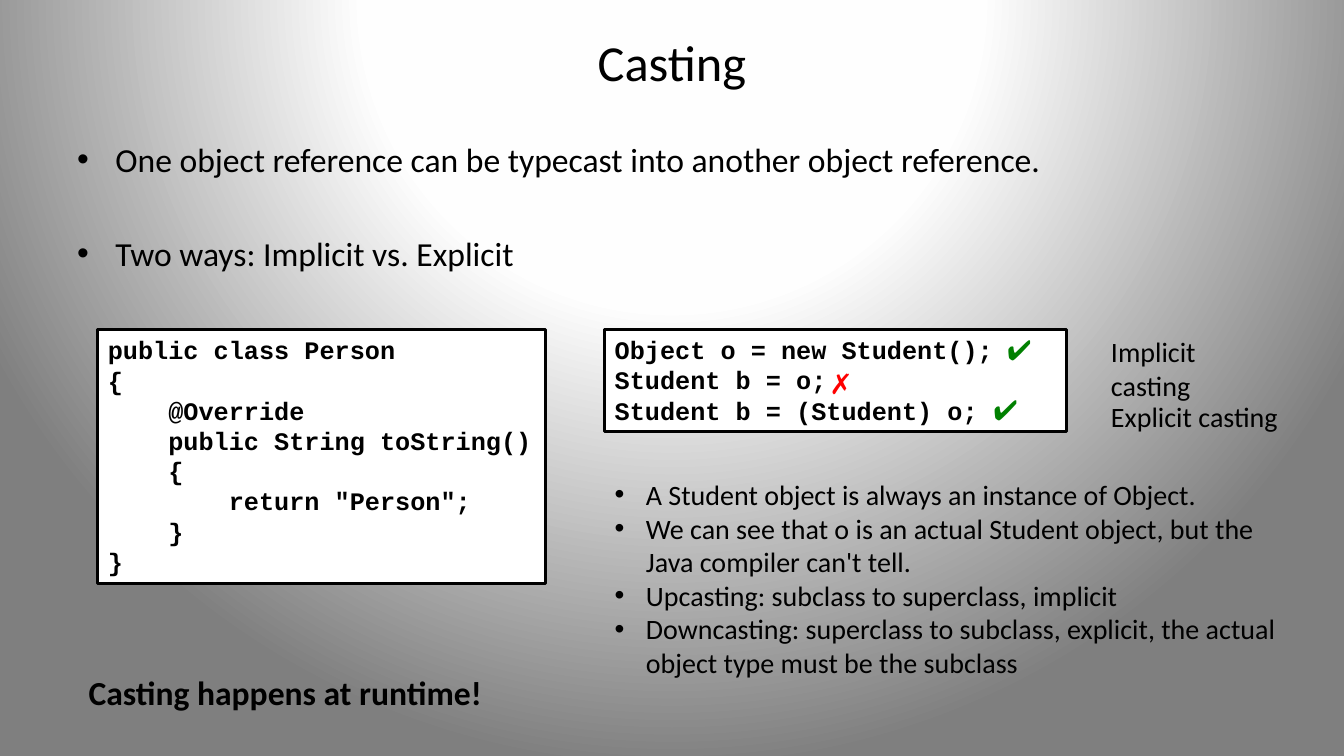
from pptx import Presentation
from pptx.dml.color import RGBColor as Rgb
from pptx.enum.shapes import MSO_SHAPE as Shape
from pptx.enum.text import MSO_ANCHOR as Anchor, PP_ALIGN as Align
from pptx.oxml import parse_xml
from pptx.oxml.ns import nsdecls
from pptx.util import Inches, Pt

WIDE, HIGH = Inches(13.33), Inches(7.5)
HUES = {"ink": "000000", "paper": "FFFFFF", "glow": "FEFEFE",
        "edge": "7F7F7F", "good": "008000", "bad": "FF0000"}
SANS, MONO, SIGN = "Calibri", "Courier New", "Arial"

CLASS = """public class Person
{
    @Override
    public String toString()
    {
        return "Person";
    }
}"""
CASTS = """Object o = new Student();
Student b = o;
Student b = (Student) o;"""
POINTS = ["One object reference can be typecast into another object reference.",
          "Two ways: Implicit vs. Explicit"]
NOTES = ["A Student object is always an instance of Object.",
         "We can see that o is an actual Student object, but the\vJava compiler can't tell.",
         "Upcasting: subclass to superclass, implicit",
         "Downcasting: superclass to subclass, explicit, the actual\vobject type must be the subclass"]
MARKS = [("✔", "good", 0.85, -0.02), ("✗", "bad", 0.465, 0.31), ("✔", "good", 0.82, 0.57)]
LABELS = [("Implicit casting", 0), ("Explicit casting", 0.64)]


def area(x, y, w, h):
    return [int(n * size / 100) for n, size in zip((x, y, w, h), (WIDE, HIGH) * 2)]


def within(box, x, y, w, h):
    left, top, wide, high = box
    return [int(n) for n in (left + x * wide, top + y * high, w * wide, h * high)]


def style(para, size, face=SANS, hue="ink", bold=False):
    font = para.font
    font.size, font.name, font.bold = Pt(size), face, bold
    font.color.rgb = Rgb.from_string(HUES[hue])


def bullet(para, indent):
    props = para._p.get_or_add_pPr()
    props.set("marL", str(Inches(indent)))
    props.set("indent", str(-Inches(indent)))
    props.append(parse_xml(f'<a:buFont {nsdecls("a")} typeface="Arial"/>'))
    props.append(parse_xml(f'<a:buChar {nsdecls("a")} char="•"/>'))


def write(frame, lines, size, indent=0, gap=0, wrap=False, **look):
    frame.word_wrap = wrap
    for i, line in enumerate(lines):
        para = frame.paragraphs[0] if i == 0 else frame.add_paragraph()
        para.text = line
        para.alignment = Align.LEFT
        if indent:
            bullet(para, indent)
        if i and gap:
            para.space_before = Pt(gap)
        style(para, size, **look)


def label(slide, box, lines, size, **look):
    write(slide.shapes.add_textbox(*box).text_frame, lines, size, **look)


def backdrop(slide):
    stops = "".join(f'<a:gs pos="{pos}000"><a:srgbClr val="{HUES[hue]}"/></a:gs>'
                    for pos, hue in ((0, "paper"), (40, "glow"), (100, "edge")))
    slide.element.cSld.insert(0, parse_xml(
        f'<p:bg {nsdecls("p", "a")}><p:bgPr><a:gradFill rotWithShape="1">'
        f'<a:gsLst>{stops}</a:gsLst><a:path path="circle">'
        '<a:fillToRect l="50000" t="-80000" r="50000" b="180000"/></a:path>'
        '</a:gradFill><a:effectLst/></p:bgPr></p:bg>'))


def heading(slide, box):
    title = slide.shapes.title
    title.left, title.top, title.width, title.height = box
    frame = title.text_frame
    frame.text = "Casting"
    frame.vertical_anchor = Anchor.MIDDLE
    frame.paragraphs[0].alignment = Align.CENTER
    style(frame.paragraphs[0], 36)


def code(slide, box, text):
    panel = slide.shapes.add_shape(Shape.RECTANGLE, *box)
    panel.shadow.inherit = False
    panel.fill.solid()
    panel.fill.fore_color.rgb = Rgb.from_string(HUES["paper"])
    panel.line.color.rgb = Rgb.from_string(HUES["ink"])
    panel.line.width = Pt(2)
    panel.text_frame.vertical_anchor = Anchor.TOP
    write(panel.text_frame, text.split("\n"), 18, face=MONO, bold=True)


def casting(slide, box):
    code(slide, box, CASTS)
    for sign, hue, x, y in MARKS:
        label(slide, within(box, x, y, 0.09, 0.43), [sign], 20, face=SIGN, hue=hue)
    for text, y in LABELS:
        label(slide, within(box, 1.075, y, 0.41, 0.43), [text], 20)


def main():
    deck = Presentation()
    deck.slide_width, deck.slide_height = WIDE, HIGH
    slide = deck.slides.add_slide(deck.slide_layouts[5])
    backdrop(slide)
    heading(slide, area(5, 1.75, 90, 12.65))
    label(slide, area(5, 17.75, 90, 25.6), POINTS, 24, indent=0.38, gap=38, wrap=True)
    code(slide, area(7.28, 43.6, 33.3, 33.6), CLASS)
    casting(slide, area(45, 43.6, 34.35, 13.45))
    label(slide, area(45, 62.5, 51.15, 28.25), NOTES, 20, indent=0.31)
    label(slide, area(5.85, 88.25, 31.1, 6.65), ["Casting happens at runtime!"], 24, bold=True)
    deck.save("out.pptx")


if __name__ == "__main__":
    main()
